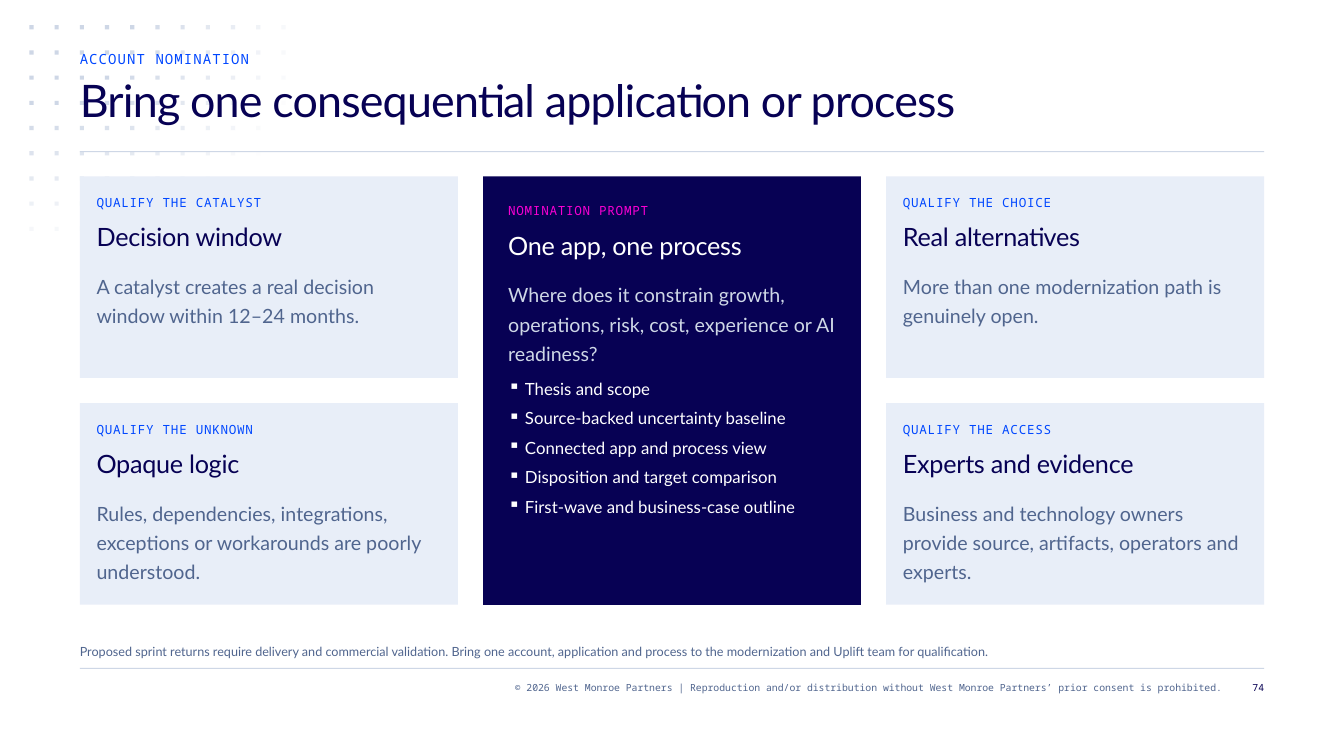
"""Build the account nomination slide: four qualifying cards around a nomination prompt."""
from math import hypot

from lxml import etree
from pptx import Presentation
from pptx.dml.color import RGBColor
from pptx.enum.shapes import MSO_SHAPE
from pptx.enum.text import MSO_ANCHOR, MSO_AUTO_SIZE, PP_ALIGN
from pptx.oxml.ns import qn
from pptx.util import Pt

RECT = MSO_SHAPE.RECTANGLE
TOP = MSO_ANCHOR.TOP
NO_FIT = MSO_AUTO_SIZE.NONE
LEFT, RIGHT = PP_ALIGN.LEFT, PP_ALIGN.RIGHT
PX = 9525
SANS, MONO = "Lato", "Noto Sans Mono"
NAVY = RGBColor(0x07, 0x01, 0x54)
BLUE = RGBColor(0x00, 0x47, 0xFF)
MAGENTA = RGBColor(0xF9, 0x00, 0xD3)
SLATE = RGBColor(0x50, 0x65, 0x8E)
MIST = RGBColor(0xCE, 0xD7, 0xE6)
PALE = RGBColor(0xE8, 0xEE, 0xF8)
WHITE = RGBColor(0xFF, 0xFF, 0xFF)
MARGIN, CONTENT_W = 76, 1128
CARD_W, CARD_H, GAP, CARDS_TOP = 360, 192, 24, 168


def add_rect(shapes, x, y, w, h, color):
    sp = shapes.add_shape(RECT, x * PX, y * PX, w * PX, h * PX)
    sp.shadow.inherit = False
    sp.fill.solid()
    sp.fill.fore_color.rgb = color
    sp.line.fill.background()
    return sp


def write(sp, x, y, w, h, text, font, size, leading, color, spacing=0, align=LEFT):
    sp.left, sp.top, sp.width, sp.height = x * PX, y * PX, w * PX, h * PX
    tf = sp.text_frame
    tf.word_wrap = True
    tf.auto_size = NO_FIT
    tf.vertical_anchor = TOP
    tf.margin_left = tf.margin_top = tf.margin_right = tf.margin_bottom = 0
    tf.text = text
    for p in tf.paragraphs:
        p.alignment = align
        p.line_spacing = Pt(leading)
        for r in p.runs:
            r.font.name = font
            r.font.size = Pt(size)
            r.font.color.rgb = color
            r._r.get_or_add_rPr().set("spc", str(spacing))
    return tf


prs = Presentation()
prs.slide_width, prs.slide_height = 1280 * PX, 720 * PX
s = prs.slides.add_slide(prs.slide_layouts[5])

for col in range(11):
    for row in range(9 if col < 3 else 7):
        opacity = min(100, round(153 - hypot(13.8 * col, 16.9 * row)))
        if opacity > 0:
            dot = add_rect(s.shapes, 28 + 24 * col, 24 + 24 * row, 4, 4, MIST)
            if opacity < 100:
                clr = dot.fill._xPr.find(".//" + qn("a:srgbClr"))
                etree.SubElement(clr, qn("a:alpha")).set("val", str(opacity * 1000))

for y in (144, 636):
    add_rect(s.shapes, MARGIN, y, CONTENT_W, 1, MIST)

title = s.shapes.title
title.element.getparent().append(title.element)
write(title, MARGIN, 72, CONTENT_W, 72, "Bring one consequential application or process",
      SANS, 32, 36, NAVY, -60)

FRAME_TEXTS = [
    (MARGIN, 48, CONTENT_W, 16, "ACCOUNT NOMINATION", MONO, 10, 12, BLUE, 80),
    (MARGIN, 612, CONTENT_W, 16,
     "Proposed sprint returns require delivery and commercial validation. Bring one account, "
     "application and process to the modernization and Uplift team for qualification.",
     SANS, 9, 12, SLATE),
    (228, 648, 936, 24,
     "© 2026 West Monroe Partners | Reproduction and/or distribution without "
     "West Monroe Partners’ prior consent is prohibited.",
     MONO, 7, 9, SLATE, 0, RIGHT),
    (1172, 648, 32, 24, "74", MONO, 7, 9, NAVY, 0, RIGHT),
]
for args in FRAME_TEXTS:
    write(s.shapes.add_textbox(0, 0, 0, 0), *args)

QUALIFY = (CARD_H, 16, PALE, BLUE, NAVY, SLATE)
PROMPT = (2 * CARD_H + GAP, 24, NAVY, MAGENTA, WHITE, MIST)
CARDS = [
    (0, 0, QUALIFY, "QUALIFY THE CATALYST", "Decision window",
     "A catalyst creates a real decision window within 12–24 months.", 2),
    (0, 1, QUALIFY, "QUALIFY THE UNKNOWN", "Opaque logic",
     "Rules, dependencies, integrations, exceptions or workarounds are poorly understood.", 3),
    (1, 0, PROMPT, "NOMINATION PROMPT", "One app, one process",
     "Where does it constrain growth, operations, risk, cost, experience or AI readiness?", 3),
    (2, 0, QUALIFY, "QUALIFY THE CHOICE", "Real alternatives",
     "More than one modernization path is genuinely open.", 2),
    (2, 1, QUALIFY, "QUALIFY THE ACCESS", "Experts and evidence",
     "Business and technology owners provide source, artifacts, operators and experts.", 3),
]
for col, row, style, label, heading, body, lines in CARDS:
    height, pad, fill, label_color, heading_color, body_color = style
    x = MARGIN + col * (CARD_W + GAP)
    y = CARDS_TOP + row * (CARD_H + GAP)
    card = s.shapes.add_group_shape().shapes
    add_rect(card, x, y, CARD_W, height, fill)
    for dy, h, *text_style in (
        (0, 16, label, MONO, 9, 12, label_color, 50),
        (24, 32, heading, SANS, 18, 24, heading_color, -20),
        (72, 28 * lines, body, SANS, 14, 21, body_color),
    ):
        write(card.add_textbox(0, 0, 0, 0), x + pad, y + pad + dy, CARD_W - 2 * pad, h, *text_style)

DELIVERABLES = [
    "Thesis and scope",
    "Source-backed uncertainty baseline",
    "Connected app and process view",
    "Disposition and target comparison",
    "First-wave and business-case outline",
]
tf = write(s.shapes.add_textbox(0, 0, 0, 0), 484, 356, 312, 136, "\n".join(DELIVERABLES),
           SANS, 12, 18, WHITE)
for i, p in enumerate(tf.paragraphs):
    if i:
        p.space_before = Pt(3)
    pPr = p._p.get_or_add_pPr()
    pPr.set("marL", str(16 * PX))
    pPr.set("indent", str(-16 * PX))
    etree.SubElement(pPr, qn("a:buChar")).set("char", "▪")

prs.save("out.pptx")
